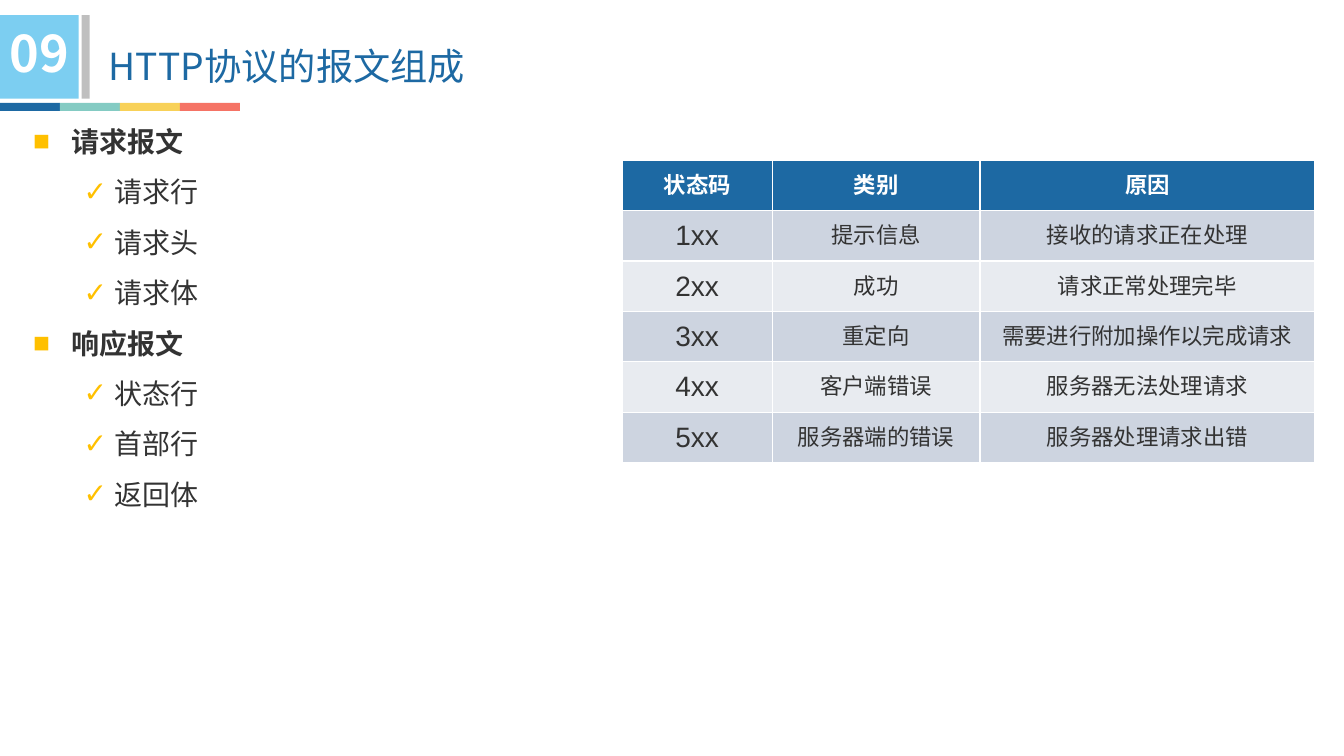
"""Build the slide on the composition of HTTP messages."""
from lxml import etree
from pptx import Presentation
from pptx.dml.color import RGBColor
from pptx.enum.shapes import MSO_SHAPE
from pptx.enum.text import MSO_ANCHOR, MSO_AUTO_SIZE, PP_ALIGN
from pptx.oxml.ns import qn
from pptx.util import Inches, Pt

RECTANGLE = MSO_SHAPE.RECTANGLE
MIDDLE = MSO_ANCHOR.MIDDLE
CENTER = PP_ALIGN.CENTER
LEFT = PP_ALIGN.LEFT
NO_AUTOSIZE = MSO_AUTO_SIZE.NONE
COLORS = {
    "blue": "1D69A3", "teal": "84CBC3", "yellow": "F8D158", "coral": "F57365",
    "sky": "7CCEF1", "gray": "BFBFBF", "white": "FFFFFF", "text": "333333",
    "bullet": "FFC000", "dark band": "CDD4E0", "light band": "E8EBF0",
}
HEADING_FONT = "Noto Sans CJK SC"
BODY_FONT = "Arial"


def add_text(paragraph, text, size, font_name, color, bold=False):
    run = paragraph.add_run()
    run.text = text
    run.font.size = Pt(size)
    run.font.name = font_name
    run.font.bold = bold
    run.font.color.rgb = RGBColor.from_string(COLORS[color])
    east_asian = etree.SubElement(run.font._element, qn("a:ea"))
    east_asian.set("typeface", font_name)


def add_block(slide, left, top, width, height, color):
    shape = slide.shapes.add_shape(
        RECTANGLE, Inches(left), Inches(top), Inches(width), Inches(height))
    shape.shadow.inherit = False
    shape.fill.solid()
    shape.fill.fore_color.rgb = RGBColor.from_string(COLORS[color])
    shape.line.fill.background()


presentation = Presentation()
presentation.slide_width = Inches(13.33)
presentation.slide_height = Inches(7.5)
slide = presentation.slides.add_slide(presentation.slide_layouts[5])

title = slide.shapes.title
title.left, title.top = Inches(1.08), Inches(0.43)
title.width, title.height = Inches(5.56), Inches(0.45)
title_frame = title.text_frame
title_frame.margin_left = title_frame.margin_right = 0
title_frame.margin_top = title_frame.margin_bottom = 0
title_frame.vertical_anchor = MIDDLE
title_frame.auto_size = NO_AUTOSIZE
title_frame.paragraphs[0].alignment = LEFT
add_text(title_frame.paragraphs[0], "HTTP协议的报文组成", 26.6, HEADING_FONT, "blue")

for index, color in enumerate(["blue", "teal", "yellow", "coral"]):
    add_block(slide, index * 0.595, 1.02, 0.595, 0.08, color)
add_block(slide, 0, 0.15, 0.78, 0.83, "sky")
add_block(slide, 0.81, 0.15, 0.08, 0.83, "gray")

number_box = slide.shapes.add_textbox(0, Inches(0.17), Inches(0.89), Inches(0.71))
number_box.text_frame.word_wrap = True
add_text(number_box.text_frame.paragraphs[0], "09", 36, HEADING_FONT, "white", True)

messages = {
    "请求报文": ["请求行", "请求头", "请求体"],
    "响应报文": ["状态行", "首部行", "返回体"],
}
outline = []
for message, parts in messages.items():
    outline.append((message, True))
    outline.extend((part, False) for part in parts)

outline_box = slide.shapes.add_textbox(
    Inches(0.23), Inches(1.02), Inches(5.69), Inches(4.14))
outline_frame = outline_box.text_frame
outline_frame.word_wrap = True
for index, (text, is_heading) in enumerate(outline):
    paragraph = outline_frame.add_paragraph() if index else outline_frame.paragraphs[0]
    paragraph.line_spacing = 1.5
    margin, hanging, bullet = (0.38, 0.38, "■") if is_heading else (0.81, 0.31, "✓")
    properties = paragraph._p.get_or_add_pPr()
    properties.set("marL", str(Inches(margin)))
    properties.set("indent", str(-Inches(hanging)))
    bullet_color = etree.SubElement(properties, qn("a:buClr"))
    etree.SubElement(bullet_color, qn("a:srgbClr")).set("val", COLORS["bullet"])
    etree.SubElement(properties, qn("a:buFont")).set("typeface", BODY_FONT)
    etree.SubElement(properties, qn("a:buChar")).set("char", bullet)
    add_text(paragraph, text, 20, BODY_FONT, "text", is_heading)

status_rows = [
    ("状态码", "类别", "原因"),
    ("1xx", "提示信息", "接收的请求正在处理"),
    ("2xx", "成功", "请求正常处理完毕"),
    ("3xx", "重定向", "需要进行附加操作以完成请求"),
    ("4xx", "客户端错误", "服务器无法处理请求"),
    ("5xx", "服务器端的错误", "服务器处理请求出错"),
]
status_table = slide.shapes.add_table(
    len(status_rows), 3, Inches(6.17), Inches(1.59), Inches(6.87), Inches(3)).table
for column, width in zip(status_table.columns, [1.49, 2.06, 3.32]):
    column.width = Inches(width)
for row_index, values in enumerate(status_rows):
    is_header = row_index == 0
    band = "blue" if is_header else "dark band" if row_index % 2 else "light band"
    for column_index, value in enumerate(values):
        cell = status_table.cell(row_index, column_index)
        cell.fill.solid()
        cell.fill.fore_color.rgb = RGBColor.from_string(COLORS[band])
        cell.vertical_anchor = MIDDLE
        paragraph = cell.text_frame.paragraphs[0]
        paragraph.alignment = CENTER
        size = 20 if column_index == 0 and not is_header else 16
        add_text(paragraph, value, size, BODY_FONT,
                 "white" if is_header else "text", is_header)

presentation.save("out.pptx")
